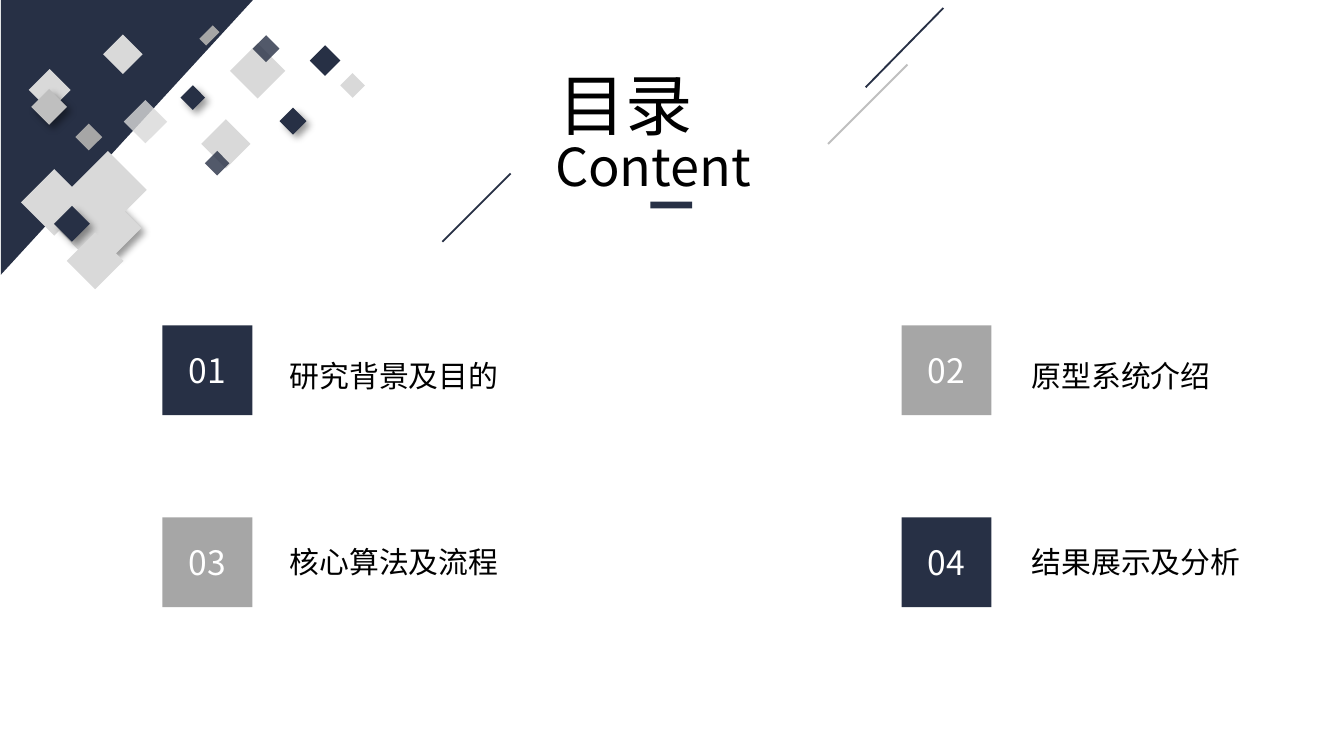
from dataclasses import dataclass

from lxml import etree
from pptx import Presentation
from pptx.dml.color import RGBColor
from pptx.enum.shapes import MSO_CONNECTOR, MSO_SHAPE
from pptx.enum.text import MSO_ANCHOR, MSO_AUTO_SIZE, PP_ALIGN
from pptx.oxml.ns import qn
from pptx.util import Cm, Pt

RECT, WEDGE = MSO_SHAPE.RECTANGLE, MSO_SHAPE.ISOSCELES_TRIANGLE
STRAIGHT = MSO_CONNECTOR.STRAIGHT
TOP, MIDDLE = MSO_ANCHOR.TOP, MSO_ANCHOR.MIDDLE
GROW, FIXED = MSO_AUTO_SIZE.SHAPE_TO_FIT_TEXT, MSO_AUTO_SIZE.NONE
LEFT, CENTER, JUSTIFY = PP_ALIGN.LEFT, PP_ALIGN.CENTER, PP_ALIGN.JUSTIFY


@dataclass(frozen=True)
class Theme:
    navy: str = "273045"
    gray: str = "A6A6A6"
    mid: str = "BFBFBF"
    light: str = "D9D9D9"
    white: str = "FFFFFF"
    black: str = "000000"
    font: str = "Noto Sans CJK SC"
    title: int = 36
    second: int = 28
    number: int = 18
    label: int = 16


THEME = Theme()


@dataclass(frozen=True)
class Box:
    left: float
    top: float
    width: float
    height: float


@dataclass(frozen=True)
class Tile:
    left: float
    top: float
    side: float
    color: str = THEME.light
    alpha: int = 100
    shadow: bool = False
    ratio: float = 1


@dataclass(frozen=True)
class Stroke:
    x1: float
    y1: float
    x2: float
    y2: float
    color: str


@dataclass(frozen=True)
class Item:
    text: str
    color: str
    width: float = 4.65
    height: float = 0.94


# Slide content, lengths in centimetres
STROKES = (
    Stroke(16.36, 1.65, 17.83, 0.15, THEME.navy),
    Stroke(15.65, 2.72, 17.15, 1.22, THEME.mid),
    Stroke(8.36, 4.57, 9.65, 3.28, THEME.navy),
)
OUTER = (
    Tile(5.94, 0.94, 0.41, THEME.navy),
    Tile(6.5, 1.45, 0.33),
    Tile(4.5, 0.97, 0.74),
    Tile(5.36, 2.11, 0.36, THEME.navy, shadow=True),
    Tile(4.85, 0.74, 0.36, THEME.navy, alpha=80),
)
INNER = (
    Tile(2.06, 0.76, 0.53),
    Tile(1.5, 2.41, 0.36, THEME.gray),
    Tile(0.66, 1.42, 0.56),
    Tile(0.69, 1.78, 0.48, THEME.mid, shadow=True),
    Tile(3.78, 0.58, 0.36, THEME.gray, ratio=0.5),
    Tile(0.58, 3.38, 0.89),
    Tile(1.78, 3.94, 0.74, shadow=True),
    Tile(1.52, 3.76, 0.46),
    Tile(1.17, 3.84, 0.81),
    Tile(3.94, 2.39, 0.66),
    Tile(3.48, 1.68, 0.33, THEME.navy, shadow=True),
    Tile(1.12, 3.99, 0.48, THEME.navy, shadow=True),
    Tile(3.94, 2.92, 0.33, THEME.navy, alpha=80),
    Tile(2.46, 2.01, 0.58, alpha=80),
    Tile(1.52, 3.07, 1.04),
    Tile(1.42, 4.55, 0.76),
)
ITEMS = (
    Item("研究背景及目的", THEME.navy, 5.28, 1.63),
    Item("原型系统介绍", THEME.gray),
    Item("核心算法及流程", THEME.gray),
    Item("结果展示及分析", THEME.navy),
)
SIDE = 1.7
COLS = ((3.07, 5.23), (17.04, 19.25))  # badge left, label left
ROWS = ((6.15, 6.63), (9.78, 10.16))  # badge top, label top


def apply(target, values: dict) -> None:
    for name, value in values.items():
        setattr(target, name, value)


def place(box: Box) -> tuple:
    return Cm(box.left), Cm(box.top), Cm(box.width), Cm(box.height)


def draw_shape(slide, box: Box, color: str, kind=RECT, turn: float = 0):
    shape = slide.shapes.add_shape(kind, *place(box))
    shape.rotation = turn
    shape.shadow.inherit = False
    shape.fill.solid()
    shape.fill.fore_color.rgb = RGBColor.from_string(color)
    shape.line.fill.background()
    return shape


def set_alpha(node, percent: int) -> None:
    etree.SubElement(node, qn("a:alpha")).set("val", str(percent * 1000))


def cast_shadow(shape) -> None:
    effects = shape._element.spPr.find(qn("a:effectLst"))
    shadow = etree.SubElement(effects, qn("a:outerShdw"))
    values = {"blurRad": Pt(4), "dist": Pt(3), "dir": 45 * 60000,
              "algn": "tl", "rotWithShape": 0}
    for name, value in values.items():
        shadow.set(name, str(value))
    color = etree.SubElement(shadow, qn("a:srgbClr"))
    color.set("val", THEME.black)
    set_alpha(color, 40)


def draw_tile(slide, tile: Tile) -> None:
    box = Box(tile.left, tile.top, tile.side, tile.side * tile.ratio)
    shape = draw_shape(slide, box, tile.color, turn=315)
    if tile.alpha < 100:
        path = qn("a:solidFill") + "/" + qn("a:srgbClr")
        set_alpha(shape._element.spPr.find(path), tile.alpha)
    if tile.shadow:
        cast_shadow(shape)


def draw_stroke(slide, stroke: Stroke) -> None:
    ends = (Cm(v) for v in (stroke.x1, stroke.y1, stroke.x2, stroke.y2))
    line = slide.shapes.add_connector(STRAIGHT, *ends)
    line.line.color.rgb = RGBColor.from_string(stroke.color)
    line.line.width = Pt(1)
    etree.SubElement(line._element.spPr, qn("a:effectLst"))


def write(shape, text: str, size: int, color: str, align, frame: dict) -> None:
    apply(shape.text_frame, {"word_wrap": True, **frame})
    para = shape.text_frame.paragraphs[0]
    para.alignment = align
    run = para.add_run()
    run.text = text
    apply(run.font, {"size": Pt(size), "name": THEME.font})
    run.font.color.rgb = RGBColor.from_string(color)
    east = etree.SubElement(run.font._element, qn("a:ea"))
    east.set("typeface", THEME.font)


def draw_text(slide, box: Box, text: str, size: int, align=LEFT, fit=GROW) -> None:
    frame = {"vertical_anchor": TOP, "auto_size": fit}
    write(slide.shapes.add_textbox(*place(box)), text, size, THEME.black, align, frame)


def draw_item(slide, index: int, item: Item) -> None:
    row, col = divmod(index, len(COLS))
    (left, text_left), (top, text_top) = COLS[col], ROWS[row]
    badge = draw_shape(slide, Box(left, top, SIDE, SIDE), item.color)
    write(badge, f"{index + 1:02}", THEME.number, THEME.white, CENTER,
          {"vertical_anchor": MIDDLE})
    box = Box(text_left, text_top, item.width, item.height)
    draw_text(slide, box, item.text, THEME.label, fit=GROW if index else FIXED)


def main() -> None:
    deck = Presentation()
    apply(deck, {"slide_width": Cm(25.4), "slide_height": Cm(14.29)})
    slide = deck.slides.add_slide(deck.slide_layouts[6])

    # Corner art
    for stroke in STROKES:
        draw_stroke(slide, stroke)
    for tile in OUTER:
        draw_tile(slide, tile)
    wedge = draw_shape(slide, Box(-0.2, 0.2, 5.21, 4.78), THEME.navy, WEDGE, 90)
    wedge.adjustments[0] = 0
    for tile in INNER:
        draw_tile(slide, tile)

    # Heading
    draw_text(slide, Box(10.24, 2.41, 4.9, 1.45), "Content", THEME.second, JUSTIFY)
    draw_text(slide, Box(10.31, 1.07, 4.78, 1.8), "目录", THEME.title, JUSTIFY)
    draw_shape(slide, Box(12.29, 3.81, 0.79, 0.13), THEME.navy)

    # Agenda
    for index, item in enumerate(ITEMS):
        draw_item(slide, index, item)
    deck.save("out.pptx")


if __name__ == "__main__":
    main()
